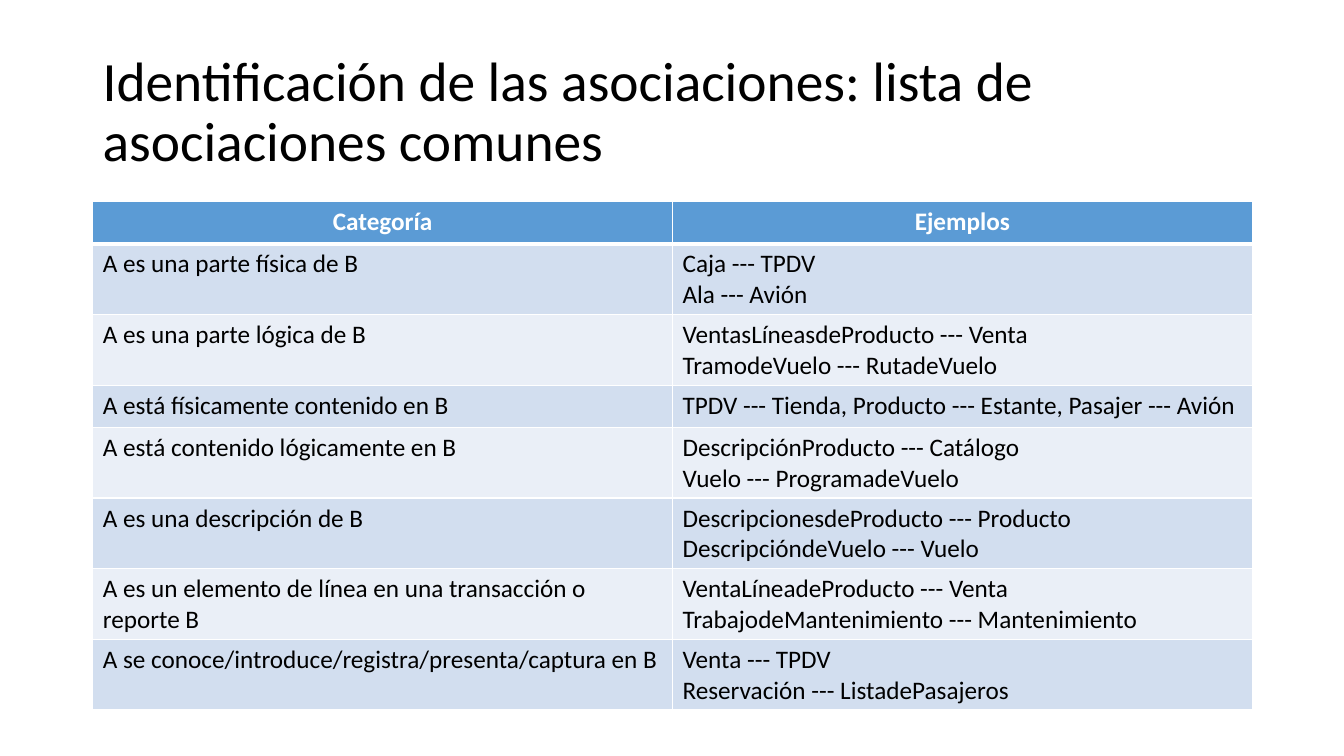
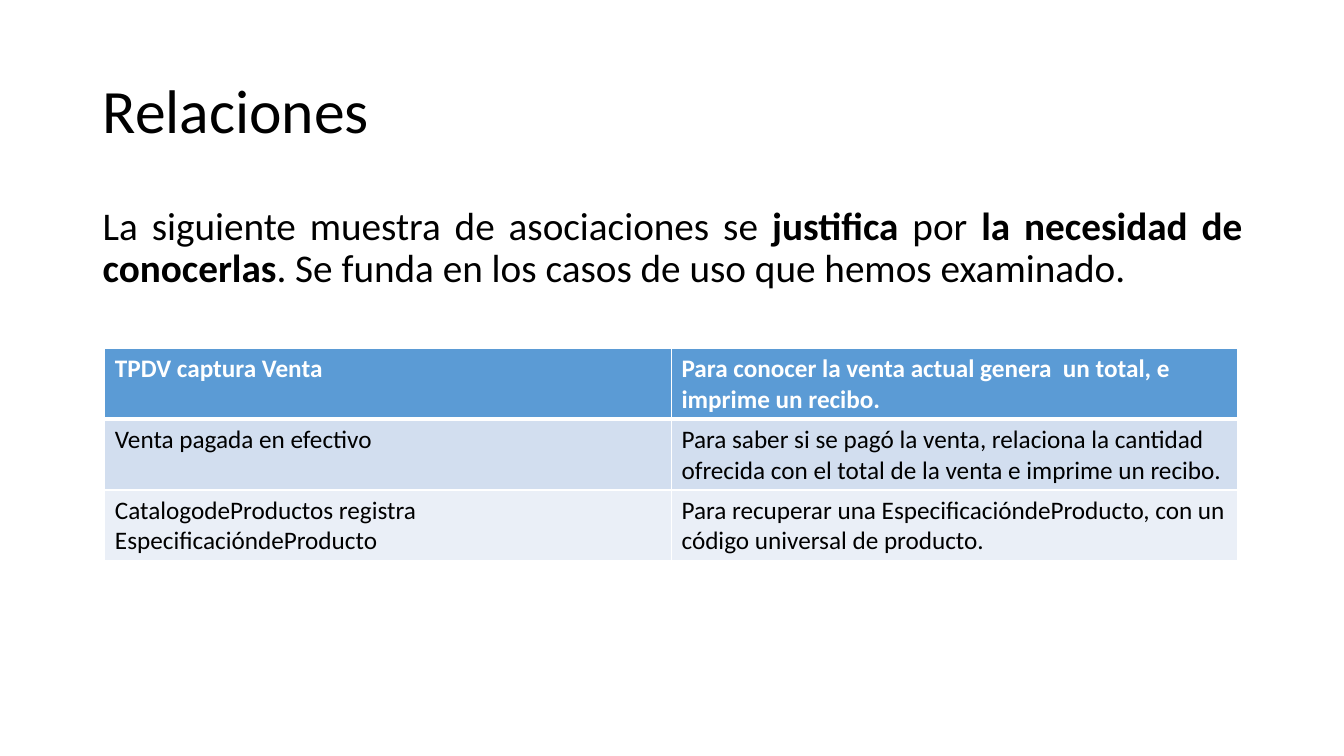
from lxml.etree import SubElement
from pptx import Presentation
from pptx.dml.color import RGBColor
from pptx.enum.text import MSO_ANCHOR, PP_ALIGN
from pptx.oxml.ns import qn
from pptx.util import Inches, Pt

FONT = "Calibri"
BLACK, WHITE = "000000", "FFFFFF"
HEADER_FILL = "5B9BD5"
BAND_FILLS = ("D2DEEF", "EAEFF7")
ROW_HEIGHT = 0.42
THIN, THICK = 1, 3

TITLE_BOX = (0.92, 0.4, 11.5, 1.45)
BODY_BOX = (0.92, 2, 11.5, 4.76)

CATEGORIES = [
    ("Categoría", "Ejemplos"),
    ("A es una parte física de B", "Caja --- TPDV\nAla --- Avión"),
    ("A es una parte lógica de B",
     "VentasLíneasdeProducto --- Venta\nTramodeVuelo --- RutadeVuelo"),
    ("A está físicamente contenido en B",
     "TPDV --- Tienda, Producto --- Estante, Pasajer --- Avión"),
    ("A está contenido lógicamente en B",
     "DescripciónProducto --- Catálogo\nVuelo --- ProgramadeVuelo"),
    ("A es una descripción de B",
     "DescripcionesdeProducto --- Producto\nDescripcióndeVuelo --- Vuelo"),
    ("A es un elemento de línea en una transacción o reporte B",
     "VentaLíneadeProducto --- Venta\nTrabajodeMantenimiento --- Mantenimiento"),
    ("A se conoce/introduce/registra/presenta/captura en B",
     "Venta --- TPDV\nReservación --- ListadePasajeros"),
]

RELATIONS = [
    ("TPDV captura Venta",
     "Para conocer la venta actual genera  un total, e imprime un recibo."),
    ("Venta pagada en efectivo",
     "Para saber si se pagó la venta, relaciona la cantidad ofrecida con el "
     "total de la venta e imprime un recibo."),
    ("CatalogodeProductos registra EspecificacióndeProducto",
     "Para recuperar una EspecificacióndeProducto, con un código universal "
     "de producto."),
]

INTRODUCTION = [
    ("La siguiente muestra de asociaciones se ", False),
    ("justifica", True),
    (" por ", False),
    ("la necesidad de conocerlas", True),
    (". Se funda en los casos de uso que hemos examinado.", False),
]


def color(value):
    return RGBColor.from_string(value)


def inches(box):
    return [Inches(length) for length in box]


def apply(target, formats):
    for name, value in formats.items():
        setattr(target, name, value)


def add_span(para, text, size, shade=BLACK, bold=False):
    span = para.add_run()
    span.text = text
    apply(span.font, {"name": FONT, "size": Pt(size), "bold": bold})
    span.font.color.rgb = color(shade)


def add_text(page, box, spans, size, anchor, formats):
    """Add a one-paragraph text box from (text, bold) spans."""
    frame = page.shapes.add_textbox(*inches(box)).text_frame
    apply(frame, {"word_wrap": True, "vertical_anchor": anchor})
    para = frame.paragraphs[0]
    apply(para, {"line_spacing": 0.9, **formats})
    for text, bold in spans:
        add_span(para, text, size, bold=bold)


def add_title(page, text, size):
    add_text(page, TITLE_BOX, [(text, False)], size, MSO_ANCHOR.MIDDLE, {})


def add_borders(cell, top, bottom):
    properties = cell._tc.get_or_add_tcPr()
    for side, width in {"L": THIN, "R": THIN, "T": top, "B": bottom}.items():
        line = SubElement(properties, qn(f"a:ln{side}"), w=str(Pt(width)))
        fill = SubElement(line, qn("a:solidFill"))
        SubElement(fill, qn("a:srgbClr"), val=WHITE)


def fill_cell(cell, text, row, header_align):
    header = row == 0
    add_borders(cell, THICK if row == 1 else THIN, THICK if header else THIN)
    cell.fill.solid()
    cell.fill.fore_color.rgb = color(
        HEADER_FILL if header else BAND_FILLS[(row - 1) % 2])
    frame = cell.text_frame
    for index, line in enumerate(text.split("\n")):
        para = frame.add_paragraph() if index else frame.paragraphs[0]
        para.alignment = header_align if header else PP_ALIGN.LEFT
        add_span(para, line, 18, WHITE if header else BLACK, header)


def add_banded_table(page, left, top, width, rows, header_align=PP_ALIGN.LEFT):
    box = (left, top, width, ROW_HEIGHT * len(rows))
    table = page.shapes.add_table(len(rows), len(rows[0]), *inches(box)).table
    for column in table.columns:
        column.width = Inches(width / len(rows[0]))
    for row, texts in enumerate(rows):
        table.rows[row].height = Inches(ROW_HEIGHT)
        for column, text in enumerate(texts):
            fill_cell(table.cell(row, column), text, row, header_align)


def add_page(deck, title, title_size):
    page = deck.slides.add_slide(deck.slide_layouts[6])
    add_title(page, title, title_size)
    return page


def build_categories(deck):
    page = add_page(
        deck, "Identificación de las asociaciones: lista de asociaciones comunes",
        39.6)
    add_banded_table(page, *BODY_BOX[:3], CATEGORIES, PP_ALIGN.CENTER)


def build_relations(deck):
    page = add_page(deck, "Relaciones", 44)
    add_text(page, BODY_BOX, INTRODUCTION, 28, MSO_ANCHOR.TOP,
             {"alignment": PP_ALIGN.JUSTIFY, "space_before": Pt(10)})
    add_banded_table(page, 1.04, 3.46, 11.24, RELATIONS)


def main():
    deck = Presentation()
    apply(deck, {"slide_width": Inches(13.33), "slide_height": Inches(7.5)})
    build_categories(deck)
    build_relations(deck)
    deck.save("out.pptx")


if __name__ == "__main__":
    main()
